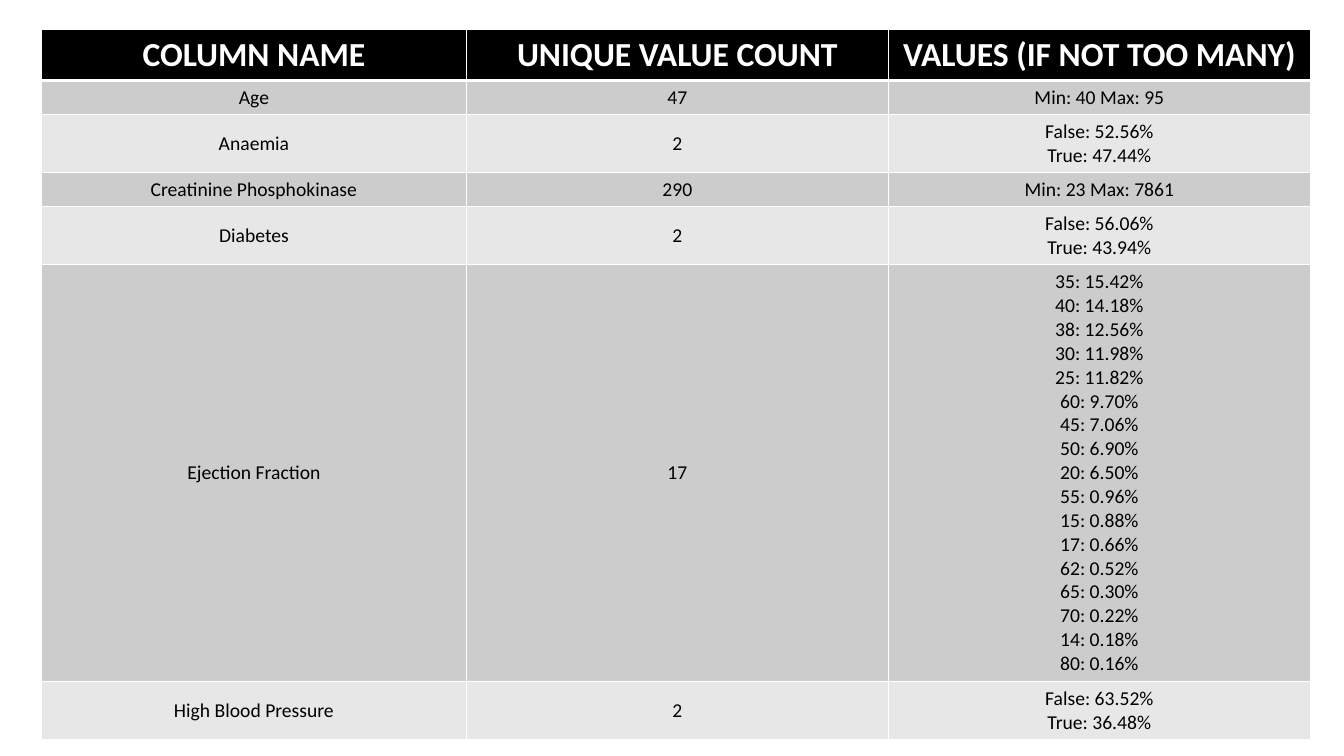
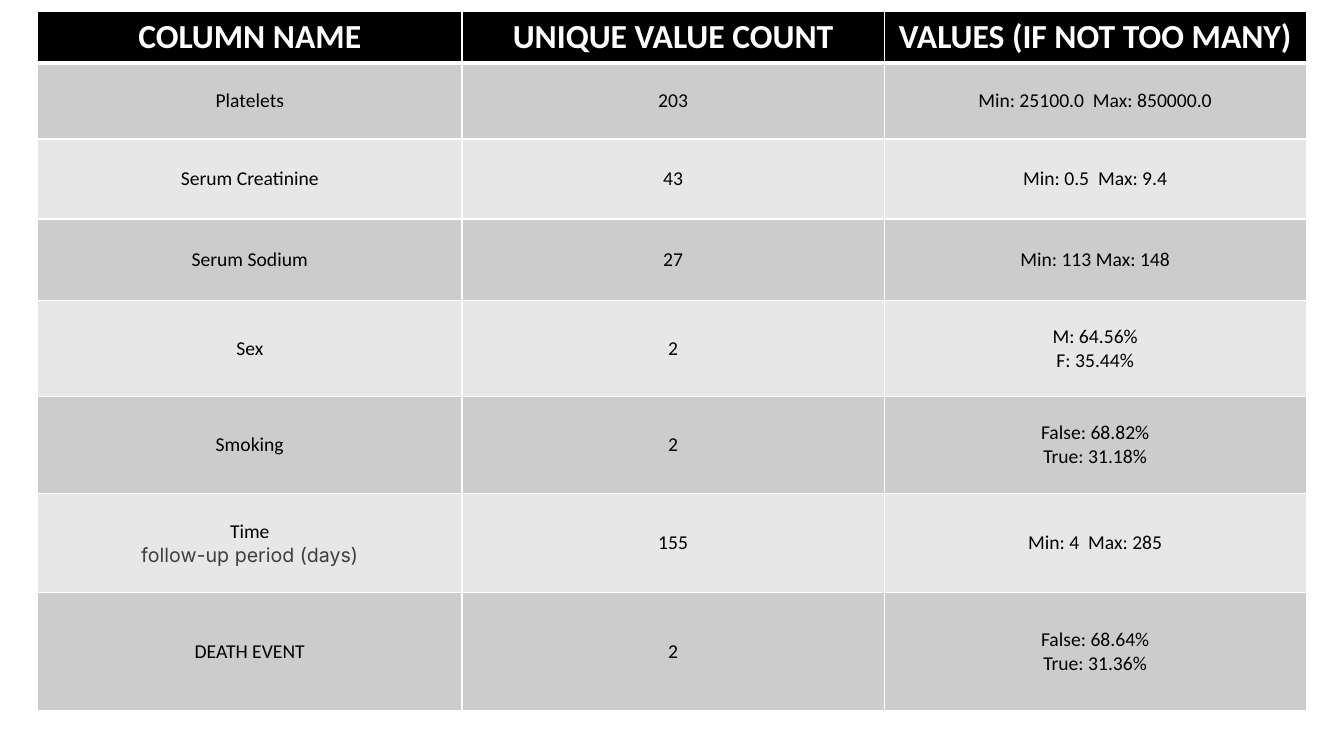
from dataclasses import dataclass

from lxml.etree import SubElement
from pptx import Presentation
from pptx.dml.color import RGBColor as RGB
from pptx.enum.text import MSO_ANCHOR as ANCHOR, PP_ALIGN as ALIGN
from pptx.oxml.ns import qn
from pptx.util import Pt


@dataclass(frozen=True)
class Theme:
    font: str = "Calibri"
    note_font: str = "Inter"
    head_size: int = 24
    body_size: int = 14
    head_fill: str = "000000"
    head_text: str = "FFFFFF"
    body_text: str = "000000"
    note_text: str = "3C4043"
    bands: tuple = ("CCCCCC", "E7E7E7")
    rule: str = "FFFFFF"
    thin: int = 1
    thick: int = 3


T = Theme()
SLIDE_W, SLIDE_H = 960, 540
COL_WIDTHS = (303.3, 301.5, 301.5)
HEAD_H = 35.3
LINE_H, CELL_PAD = 17.1, 7.2
NOTE = "follow-up period (days)"
HEADINGS = ("COLUMN NAME", "UNIQUE VALUE COUNT", "VALUES (IF NOT TOO MANY)")

TABLES = [
    {
        "left": 29.8,
        "top": 21,
        "heights": None,
        "rows": [
            ("Age", "47", "Min: 40 Max: 95"),
            ("Anaemia", "2", "False: 52.56%\nTrue: 47.44%"),
            ("Creatinine Phosphokinase", "290", "Min: 23 Max: 7861"),
            ("Diabetes", "2", "False: 56.06%\nTrue: 43.94%"),
            ("Ejection Fraction", "17",
             "35: 15.42%\n40: 14.18%\n38: 12.56%\n30: 11.98%\n25: 11.82%\n"
             "60: 9.70%\n45: 7.06%\n50: 6.90%\n20: 6.50%\n55: 0.96%\n"
             "15: 0.88%\n17: 0.66%\n62: 0.52%\n65: 0.30%\n70: 0.22%\n"
             "14: 0.18%\n80: 0.16%"),
            ("High Blood Pressure", "2", "False: 63.52%\nTrue: 36.48%"),
        ],
    },
    {
        "left": 26.8,
        "top": 8.4,
        "heights": (54.4, 57.2, 58.2, 68.6, 69.2, 71, 84.1),
        "rows": [
            ("Platelets", "203", "Min: 25100.0  Max: 850000.0"),
            ("Serum Creatinine", "43", "Min: 0.5  Max: 9.4"),
            ("Serum Sodium", "27", "Min: 113 Max: 148"),
            ("Sex", "2", "M: 64.56%\nF: 35.44%"),
            ("Smoking", "2", "False: 68.82%\nTrue: 31.18%"),
            ("Time\n" + NOTE, "155", "Min: 4  Max: 285"),
            ("DEATH EVENT", "2", "False: 68.64%\nTrue: 31.36%"),
        ],
    },
]


def fit_height(row):
    lines = max(text.count("\n") + 1 for text in row)
    return CELL_PAD + LINE_H * lines


def set_borders(cell, top, bottom):
    tc_pr = cell._tc.get_or_add_tcPr()
    widths = {"a:lnL": T.thin, "a:lnR": T.thin, "a:lnT": top, "a:lnB": bottom}
    for tag, width in widths.items():
        ln = SubElement(tc_pr, qn(tag), w=str(Pt(width)))
        fill = SubElement(ln, qn("a:solidFill"))
        SubElement(fill, qn("a:srgbClr"), val=T.rule)


def fill_cell(cell, text, row):
    head = row == 0
    set_borders(cell, T.thick if row == 1 else T.thin, T.thick if head else T.thin)
    cell.fill.solid()
    cell.fill.fore_color.rgb = RGB.from_string(
        T.head_fill if head else T.bands[(row - 1) % 2])
    cell.vertical_anchor = ANCHOR.MIDDLE
    cell.text = text
    for p in cell.text_frame.paragraphs:
        note = p.text == NOTE
        color = T.head_text if head else T.note_text if note else T.body_text
        p.alignment = ALIGN.CENTER
        p.font.name = T.note_font if note else T.font
        p.font.size = Pt(T.head_size if head else T.body_size)
        p.font.bold = head
        p.font.color.rgb = RGB.from_string(color)


def add_summary(prs, data):
    s = prs.slides.add_slide(prs.slide_layouts[6])
    rows = [HEADINGS, *data["rows"]]
    heights = [HEAD_H, *(data["heights"] or map(fit_height, data["rows"]))]
    table = s.shapes.add_table(
        len(rows), len(HEADINGS), Pt(data["left"]), Pt(data["top"]),
        Pt(sum(COL_WIDTHS)), Pt(sum(heights))).table
    for column, width in zip(table.columns, COL_WIDTHS):
        column.width = Pt(width)
    for i, (row, height) in enumerate(zip(rows, heights)):
        table.rows[i].height = Pt(height)
        for j, text in enumerate(row):
            fill_cell(table.cell(i, j), text, i)


def main():
    prs = Presentation()
    prs.slide_width, prs.slide_height = Pt(SLIDE_W), Pt(SLIDE_H)
    for data in TABLES:
        add_summary(prs, data)
    prs.save("out.pptx")


if __name__ == "__main__":
    main()
